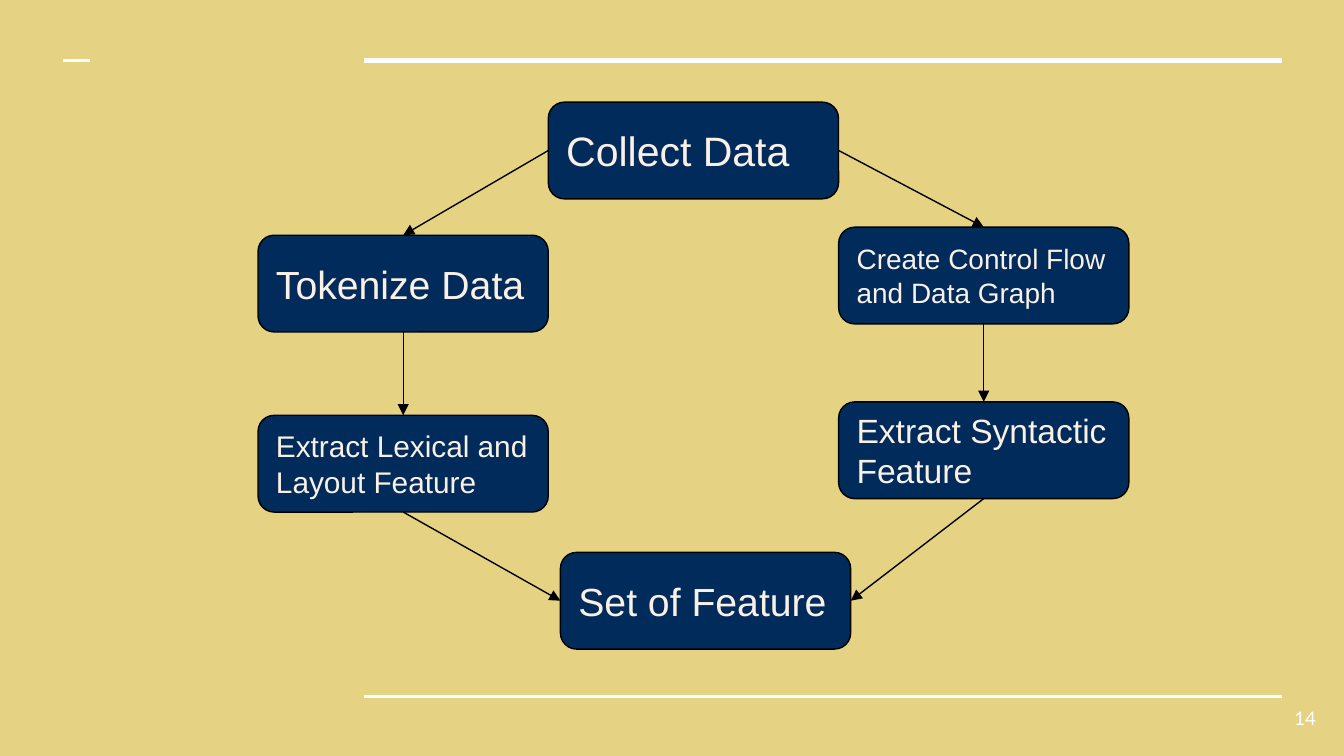
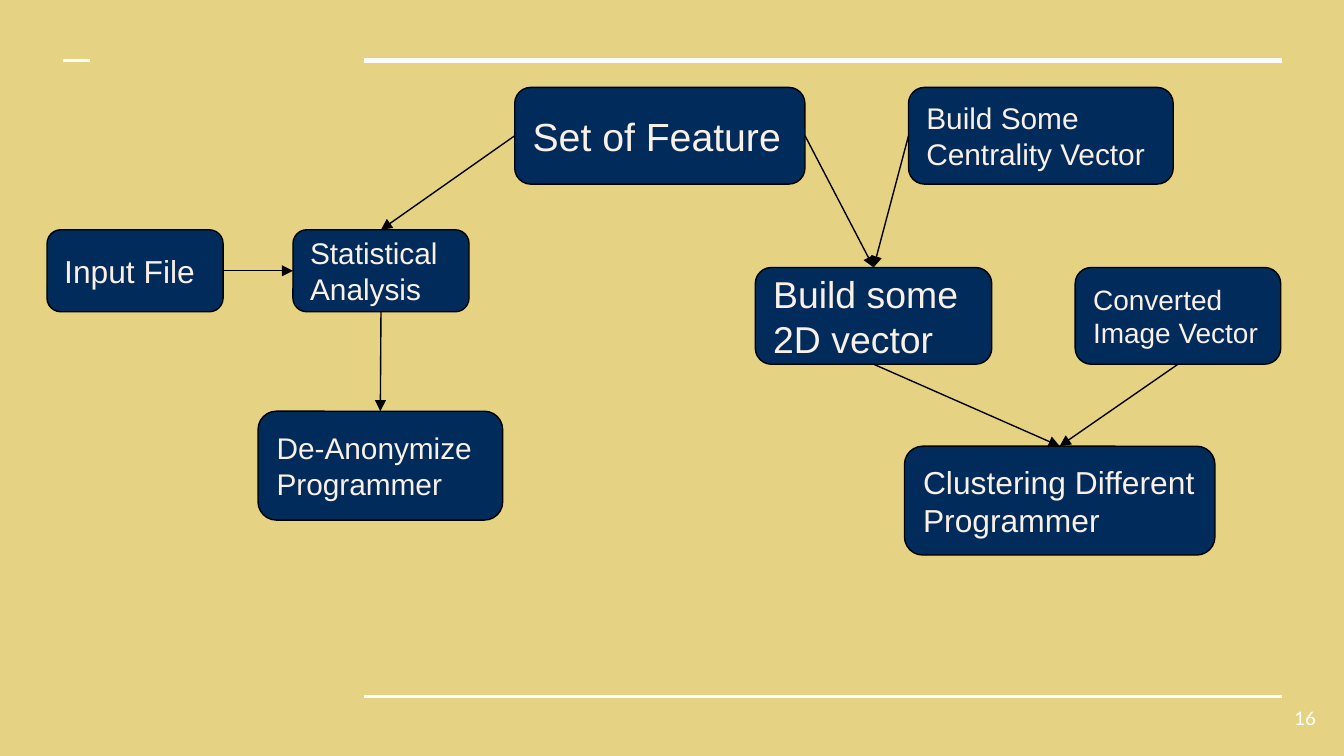
from dataclasses import dataclass

from lxml import etree
from pptx import Presentation
from pptx.dml.color import RGBColor
from pptx.enum.shapes import MSO_CONNECTOR, MSO_SHAPE
from pptx.enum.text import MSO_ANCHOR, PP_ALIGN
from pptx.oxml.ns import qn
from pptx.util import Inches, Pt

STRAIGHT = MSO_CONNECTOR.STRAIGHT
ROUNDED = MSO_SHAPE.ROUNDED_RECTANGLE
MIDDLE = MSO_ANCHOR.MIDDLE
LEFT, RIGHT = PP_ALIGN.LEFT, PP_ALIGN.RIGHT

# Connection sites of a rounded rectangle
SITES = {"top": 0, "left": 1, "bottom": 2, "right": 3}

# Widescreen page, 16:9
PAGE_WIDTH = Inches(10)
PAGE_HEIGHT = PAGE_WIDTH * 9 // 16


@dataclass(frozen=True)
class Theme:
    background: str = "E5D283"
    step: str = "002B5B"
    step_text: str = "FAF0E6"
    outline: str = "000000"
    frame: str = "FFFFFF"
    step_font: str = "Arial"
    number_font: str = "Lato"
    number_size: int = 10
    thin: float = 0.75
    medium: float = 1.5
    thick: float = 3
    corner: float = 0.167
    inset: float = 0.1


THEME = Theme()

# Content: steps are text: (left, top, width, height, type size);
# flows are (from step, side, to step, side)
STEP = (2.16, 0.72)
INPUT = (1.31, 0.61)

FEATURE_EXTRACTION = {
    "number": "14",
    "steps": {
        "Collect Data": (4.08, 0.76, *STEP, 22),
        "Tokenize Data": (1.92, 1.75, *STEP, 21),
        "Create Control Flow and Data Graph": (6.24, 1.69, *STEP, 15),
        "Extract Lexical and Layout Feature": (1.92, 3.09, *STEP, 16),
        "Extract Syntactic Feature": (6.24, 2.99, *STEP, 18),
        "Set of Feature": (4.17, 4.11, *STEP, 21),
    },
    "flows": [
        ("Tokenize Data", "bottom", "Extract Lexical and Layout Feature", "top"),
        ("Create Control Flow and Data Graph", "bottom", "Extract Syntactic Feature", "top"),
        ("Collect Data", "left", "Tokenize Data", "top"),
        ("Collect Data", "right", "Create Control Flow and Data Graph", "top"),
        ("Extract Lexical and Layout Feature", "bottom", "Set of Feature", "left"),
        ("Extract Syntactic Feature", "bottom", "Set of Feature", "right"),
    ],
}

FEATURE_USE = {
    "number": "16",
    "steps": {
        "Set of Feature": (3.83, 0.65, *STEP, 21),
        "Input File": (0.35, 1.71, *INPUT, 17),
        "Statistical Analysis": (2.18, 1.71, *INPUT, 16),
        "Build Some Centrality Vector": (6.76, 0.65, 1.97, 0.72, 16),
        "De-Anonymize Programmer": (1.92, 3.06, 1.82, 0.81, 16),
        "Converted Image Vector": (8, 1.99, 1.53, 0.72, 15),
        "Build some 2D vector": (5.62, 1.99, 1.76, 0.72, 20),
        "Clustering Different Programmer": (6.73, 3.32, 2.31, 0.81, 17),
    },
    "flows": [
        ("Set of Feature", "left", "Statistical Analysis", "top"),
        ("Input File", "right", "Statistical Analysis", "left"),
        ("Statistical Analysis", "bottom", "De-Anonymize Programmer", "top"),
        ("Set of Feature", "right", "Build some 2D vector", "top"),
        ("Build Some Centrality Vector", "left", "Build some 2D vector", "top"),
        ("Build some 2D vector", "bottom", "Clustering Different Programmer", "top"),
        ("Converted Image Vector", "bottom", "Clustering Different Programmer", "top"),
    ],
}

# Frame rules: left, right, y, line width
FRAME_RULES = [
    (2.71, 9.54, 0.45, THEME.thick),
    (2.71, 9.54, 5.18, THEME.medium),
    (0.47, 0.67, 0.45, THEME.medium),
]
NUMBER_BOX = (9.29, 5.13, 0.6, 0.43)


def rgb(color):
    return RGBColor.from_string(color)


def write(shape, text, *, font, size, color, align=LEFT):
    frame = shape.text_frame
    frame.word_wrap = True
    frame.vertical_anchor = MIDDLE
    frame.margin_left = frame.margin_right = Inches(THEME.inset)
    frame.margin_top = frame.margin_bottom = Inches(THEME.inset)
    paragraph = frame.paragraphs[0]
    paragraph.alignment = align
    run = paragraph.add_run()
    run.text = text
    run.font.name = font
    run.font.size = Pt(size)
    run.font.color.rgb = rgb(color)


def add_line(slide, start, end, color, width):
    line = slide.shapes.add_connector(STRAIGHT, *map(Inches, start + end))
    line.line.color.rgb = rgb(color)
    line.line.width = Pt(width)
    etree.SubElement(line._element.spPr, qn("a:effectLst"))
    return line


def add_frame(slide, number):
    for left, right, y, width in FRAME_RULES:
        add_line(slide, (left, y), (right, y), THEME.frame, width)
    number_box = slide.shapes.add_textbox(*map(Inches, NUMBER_BOX))
    write(number_box, number, font=THEME.number_font, size=THEME.number_size,
          color=THEME.frame, align=RIGHT)


def add_step(slide, text, left, top, width, height, size):
    step = slide.shapes.add_shape(ROUNDED, *map(Inches, (left, top, width, height)))
    step.shadow.inherit = False
    step.adjustments[0] = THEME.corner
    step.fill.solid()
    step.fill.fore_color.rgb = rgb(THEME.step)
    step.line.color.rgb = rgb(THEME.outline)
    step.line.width = Pt(THEME.thin)
    write(step, text, font=THEME.step_font, size=size, color=THEME.step_text)
    return step


def add_flow(slide, source, source_side, target, target_side):
    # Joining the steps moves both ends into place
    arrow = add_line(slide, (0, 0), (1, 1), THEME.outline, THEME.thin)
    arrow.begin_connect(source, SITES[source_side])
    arrow.end_connect(target, SITES[target_side])
    outline = arrow._element.spPr.find(qn("a:ln"))
    etree.SubElement(outline, qn("a:tailEnd"), type="triangle")


def build_flowchart(prs, content):
    slide = prs.slides.add_slide(prs.slide_layouts[6])
    add_frame(slide, content["number"])
    steps = {text: add_step(slide, text, *place)
             for text, place in content["steps"].items()}
    for source, source_side, target, target_side in content["flows"]:
        add_flow(slide, steps[source], source_side, steps[target], target_side)


def main():
    prs = Presentation()
    prs.slide_width, prs.slide_height = PAGE_WIDTH, PAGE_HEIGHT
    backdrop = prs.slide_master.background.fill
    backdrop.solid()
    backdrop.fore_color.rgb = rgb(THEME.background)
    for content in (FEATURE_EXTRACTION, FEATURE_USE):
        build_flowchart(prs, content)
    prs.save("out.pptx")


if __name__ == "__main__":
    main()
